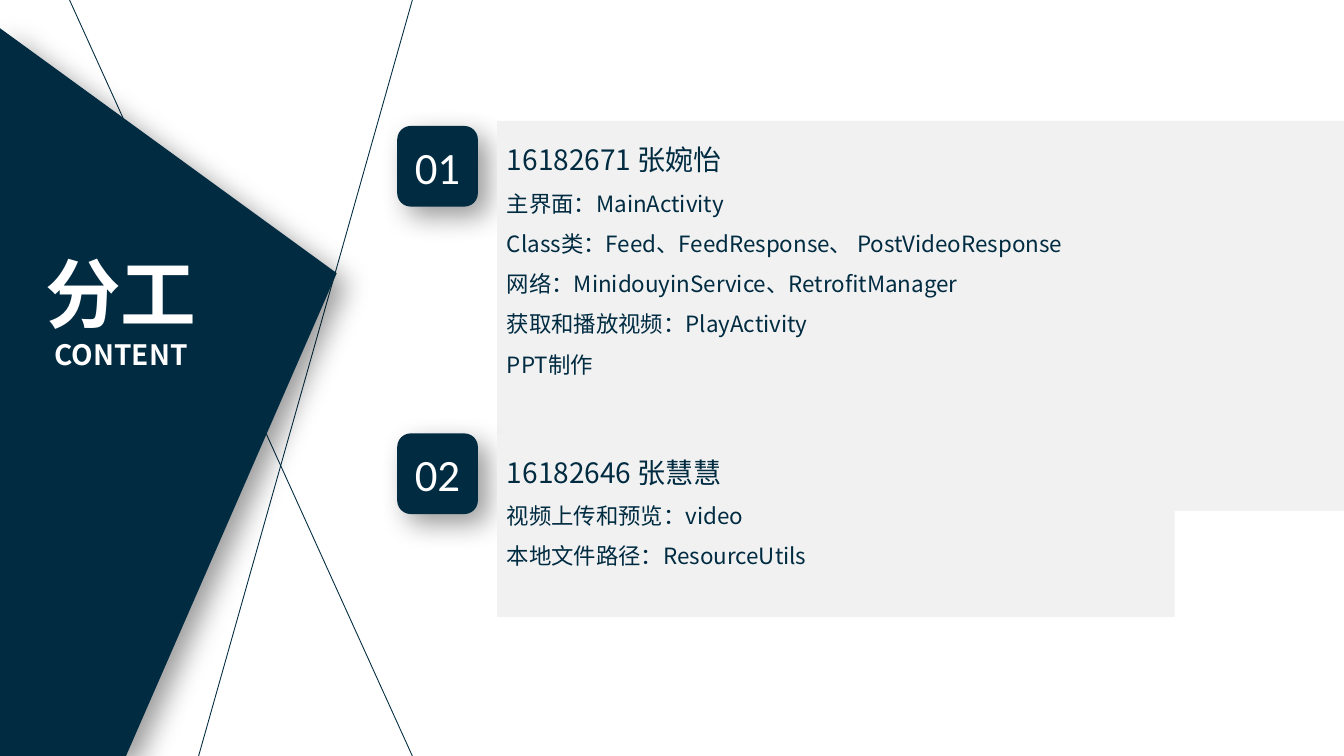
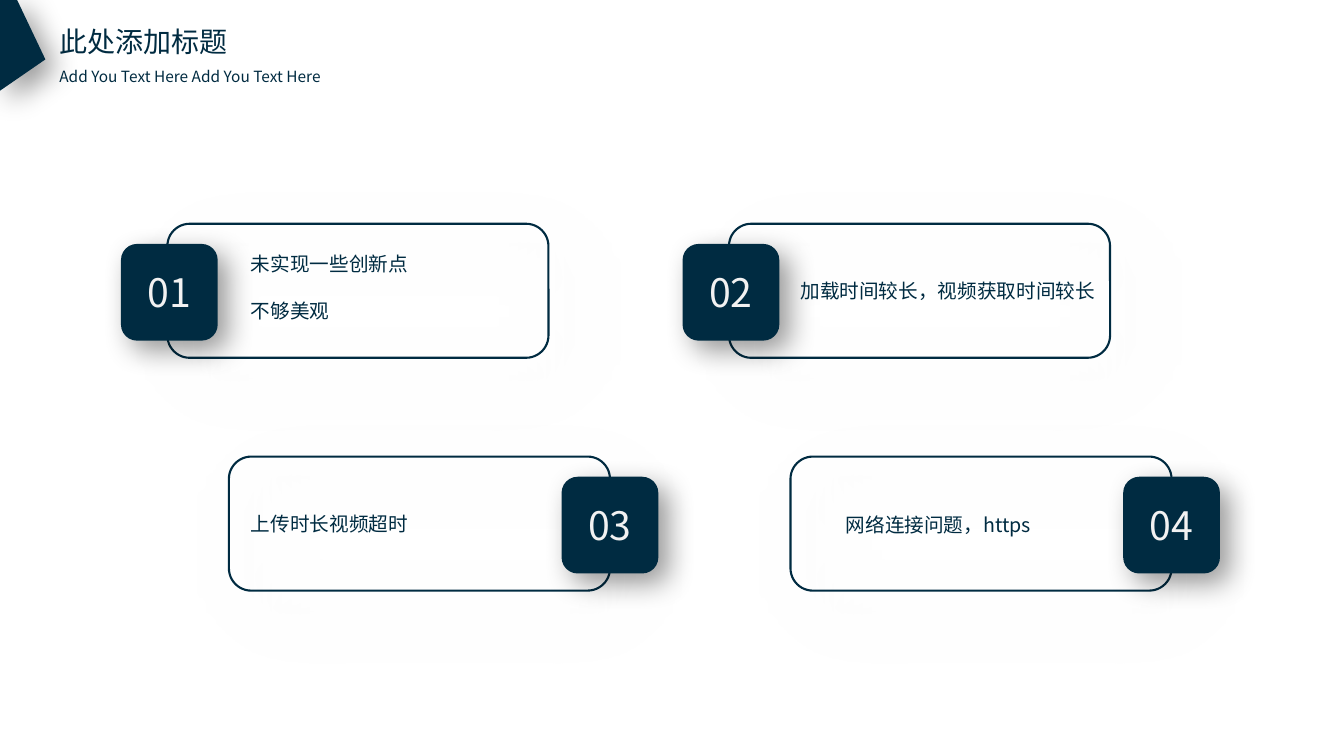
from lxml.etree import SubElement
from pptx import Presentation
from pptx.dml.color import RGBColor
from pptx.enum.shapes import MSO_CONNECTOR, MSO_SHAPE
from pptx.enum.text import MSO_ANCHOR, MSO_AUTO_SIZE, PP_ALIGN
from pptx.oxml.ns import qn
from pptx.util import Inches, Pt

NAVY = "002B41"
WHITE = "FFFFFF"
OFF_WHITE = "F2F2F2"
PANEL_GREY = "F1F1F1"
CJK_FONT = "Noto Sans CJK SC"
DARK_SHADOW = ("000000", 40, 20, 10)
SOFT_SHADOW = ("808080", 20, 50, 20)
CARD_WIDTH, CARD_HEIGHT = 3.78, 1.33
CARD_PITCH = 5.57
BADGE_SIZE = 0.96


def color(value):
    """Turn a hex string into a colour."""
    return RGBColor.from_string(value)


def place(shape, box):
    """Set left, top, width and height in inches."""
    shape.left, shape.top, shape.width, shape.height = map(Inches, box)


def format_paragraph(paragraph, size, ink, font=CJK_FONT, bold=False,
                     align=PP_ALIGN.LEFT, spacing=1.0):
    """Format a paragraph and its runs, East Asian font included."""
    paragraph.alignment = align
    paragraph.line_spacing = spacing
    for run in paragraph.runs:
        run.font.size = Pt(size)
        run.font.name = font
        run.font.bold = bold
        run.font.color.rgb = color(ink)
        SubElement(run.font._element, qn("a:ea"), typeface=font)


def write_lines(shape, lines, sizes, ink=NAVY, anchor=MSO_ANCHOR.TOP, **style):
    """Write one paragraph per line; the last size serves all later lines."""
    frame = shape.text_frame
    frame.text = "\n".join(lines)
    frame.word_wrap = True
    frame.auto_size = MSO_AUTO_SIZE.NONE
    frame.vertical_anchor = anchor
    for index, paragraph in enumerate(frame.paragraphs):
        size = sizes[min(index, len(sizes) - 1)]
        format_paragraph(paragraph, size, ink, **style)


def set_shadow(shape, shadow=None):
    """Replace the theme shadow by an outer one, or by none."""
    shape.shadow.inherit = False
    if shadow is None:
        return
    shade, opacity, blur, distance = shadow
    effects = shape.element.spPr.find(qn("a:effectLst"))
    outer = SubElement(effects, qn("a:outerShdw"), blurRad=str(Pt(blur)),
                       dist=str(Pt(distance)), dir=str(45 * 60000),
                       algn="tl", rotWithShape="0")
    tint = SubElement(outer, qn("a:srgbClr"), val=shade)
    SubElement(tint, qn("a:alpha"), val=str(opacity * 1000))


def paint(shape, fill=None, line=None, shadow=None):
    """Set fill, outline and shadow."""
    if fill:
        shape.fill.solid()
        shape.fill.fore_color.rgb = color(fill)
    else:
        shape.fill.background()
    if line:
        shape.line.color.rgb = color(line)
        shape.line.width = Pt(1.5)
    else:
        shape.line.fill.background()
    set_shadow(shape, shadow)


def add_box(slide, kind, box, **look):
    """Add a painted preset shape."""
    shape = slide.shapes.add_shape(kind, *map(Inches, box))
    paint(shape, **look)
    return shape


def add_text(slide, box, lines, sizes, **style):
    """Add a wrapping text box."""
    write_lines(slide.shapes.add_textbox(*map(Inches, box)), lines, sizes, **style)


def add_wedge(slide, points):
    """Add the navy wedge at the left edge."""
    corners = [(Inches(x), Inches(y)) for x, y in points]
    builder = slide.shapes.build_freeform(*corners[0])
    builder.add_line_segments(corners[1:], close=True)
    paint(builder.convert_to_shape(), fill=NAVY, shadow=DARK_SHADOW)


def add_line(slide, start, end):
    """Add a thin navy line."""
    line = slide.shapes.add_connector(MSO_CONNECTOR.STRAIGHT,
                                      *map(Inches, start + end))
    line.line.color.rgb = color(NAVY)
    line.line.width = Pt(0.63)
    SubElement(line.element.spPr, qn("a:effectLst"))


def add_badge(slide, left, top, side, number, size, ink, font):
    """Add a rounded square holding a number."""
    badge = add_box(slide, MSO_SHAPE.ROUNDED_RECTANGLE, (left, top, side, side),
                    fill=NAVY, shadow=DARK_SHADOW)
    write_lines(badge, [number], [size], ink, MSO_ANCHOR.MIDDLE,
                font=font, align=PP_ALIGN.CENTER)


def add_title(slide, box, lines, sizes, **style):
    """Fill the title placeholder and bring it to the front."""
    title = slide.shapes.title
    place(title, box)
    write_lines(title, lines, sizes, **style)
    title.element.getparent().append(title.element)


def add_member(slide, number, badge_top, panel, lines):
    """Add a numbered badge and the panel of one member's tasks."""
    add_badge(slide, 3.94, badge_top, 0.8, number, 32, WHITE, "Calibri")
    shape = add_box(slide, MSO_SHAPE.RECTANGLE, panel, fill=PANEL_GREY)
    write_lines(shape, lines, [20, 16], spacing=1.5)


def add_card(slide, number, column, row, text_box, lines, spacing):
    """Add an outlined card, its badge on the left in row 0, right in row 1."""
    left = (1.66, 2.27)[row] + column * CARD_PITCH
    top = (2.22, 4.53)[row]
    add_box(slide, MSO_SHAPE.ROUNDED_RECTANGLE,
            (left, top, CARD_WIDTH, CARD_HEIGHT), line=NAVY, shadow=SOFT_SHADOW)
    badge_left = left + (-0.46, 3.3)[row]
    add_badge(slide, badge_left, top + 0.2, BADGE_SIZE, number, 28,
              OFF_WHITE, CJK_FONT)
    add_text(slide, text_box, lines, [14], spacing=spacing)


def build_division(slide):
    """Build the division of work slide."""
    add_line(slide, (4.09, 0), (1.97, 7.5))
    add_line(slide, (4.09, 7.5), (0.69, 0))
    add_wedge(slide, [(1.25, 7.5), (0, 7.5), (0, 0.28), (3.34, 2.71)])
    add_title(slide, (0.24, 2.4, 1.92, 1.35), ["分工", "CONTENT"], [54, 20],
              ink=WHITE, bold=True, align=PP_ALIGN.CENTER)
    add_member(slide, "01", 1.25, (4.93, 1.2, 8.4, 3.87), [
        "16182671 张婉怡",
        "主界面：MainActivity",
        "Class类：Feed、FeedResponse、 PostVideoResponse",
        "网络：MinidouyinService、RetrofitManager",
        "获取和播放视频：PlayActivity",
        "PPT制作",
    ])
    add_member(slide, "02", 4.3, (4.93, 4.3, 6.72, 1.82), [
        "16182646 张慧慧",
        "视频上传和预览：video",
        "本地文件路径：ResourceUtils",
    ])


def build_issues(slide):
    """Build the slide of four open issues."""
    add_title(slide, (0.49, 0.19, 1.88, 0.44), ["此处添加标题"], [20])
    add_text(slide, (0.49, 0.56, 3.06, 0.32),
             ["Add You Text Here Add You Text Here"], [11], spacing=1.3)
    add_wedge(slide, [(0.17, 0), (0, 0), (0, 0.9), (0.45, 0.59)])
    cards = [
        ("01", 0, 0, (2.39, 2.22, 3.06, 1.51), ["未实现一些创新点", "不够美观"], 2.0),
        ("02", 1, 0, (7.84, 2.48, 3.23, 0.5), ["加载时间较长，视频获取时间较长"], 2.0),
        ("03", 0, 1, (2.39, 4.8, 3.06, 0.5), ["上传时长视频超时"], 2.0),
        ("04", 1, 1, (8.29, 4.97, 3.06, 0.41), ["网络连接问题，https"], 1.3),
    ]
    for card in cards:
        add_card(slide, *card)


def main():
    """Build and save the presentation."""
    presentation = Presentation()
    presentation.slide_width = Inches(13.33)
    presentation.slide_height = Inches(7.5)
    title_only = presentation.slide_layouts[5]
    for build in (build_division, build_issues):
        build(presentation.slides.add_slide(title_only))
    presentation.save("out.pptx")


if __name__ == "__main__":
    main()
